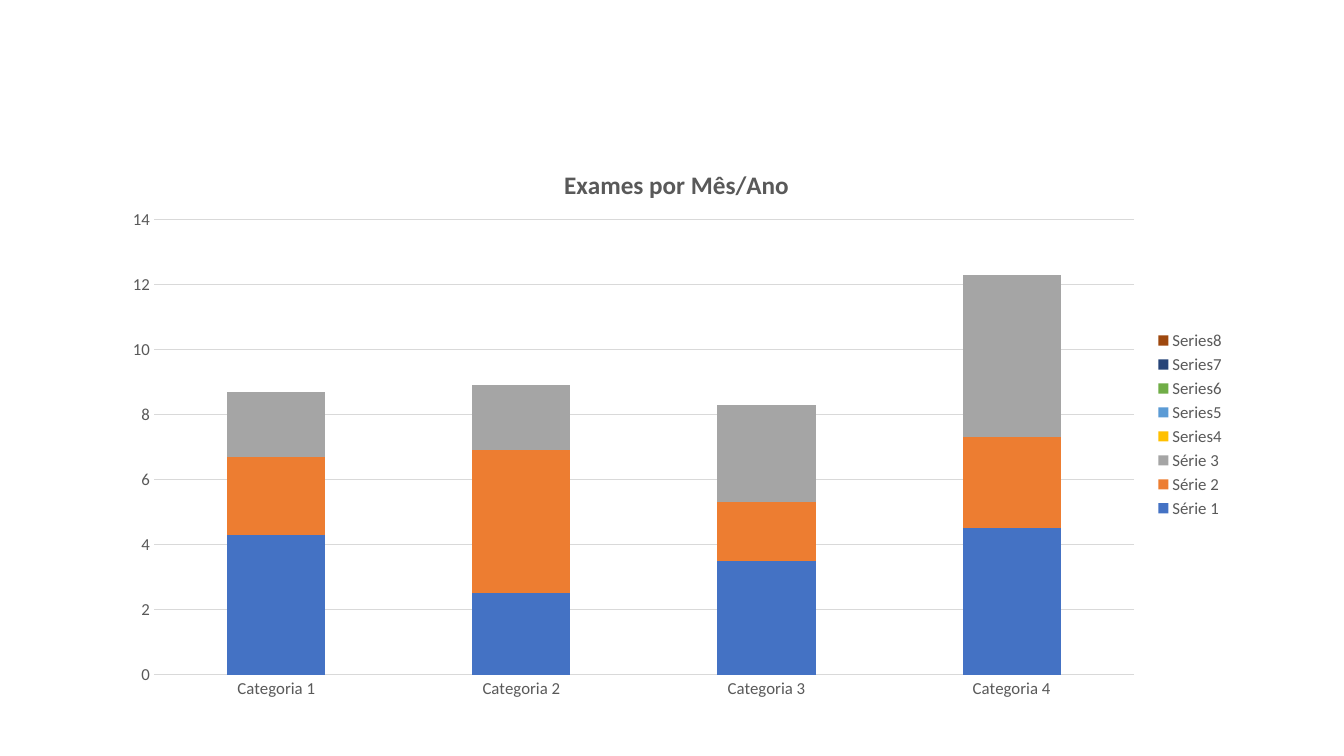
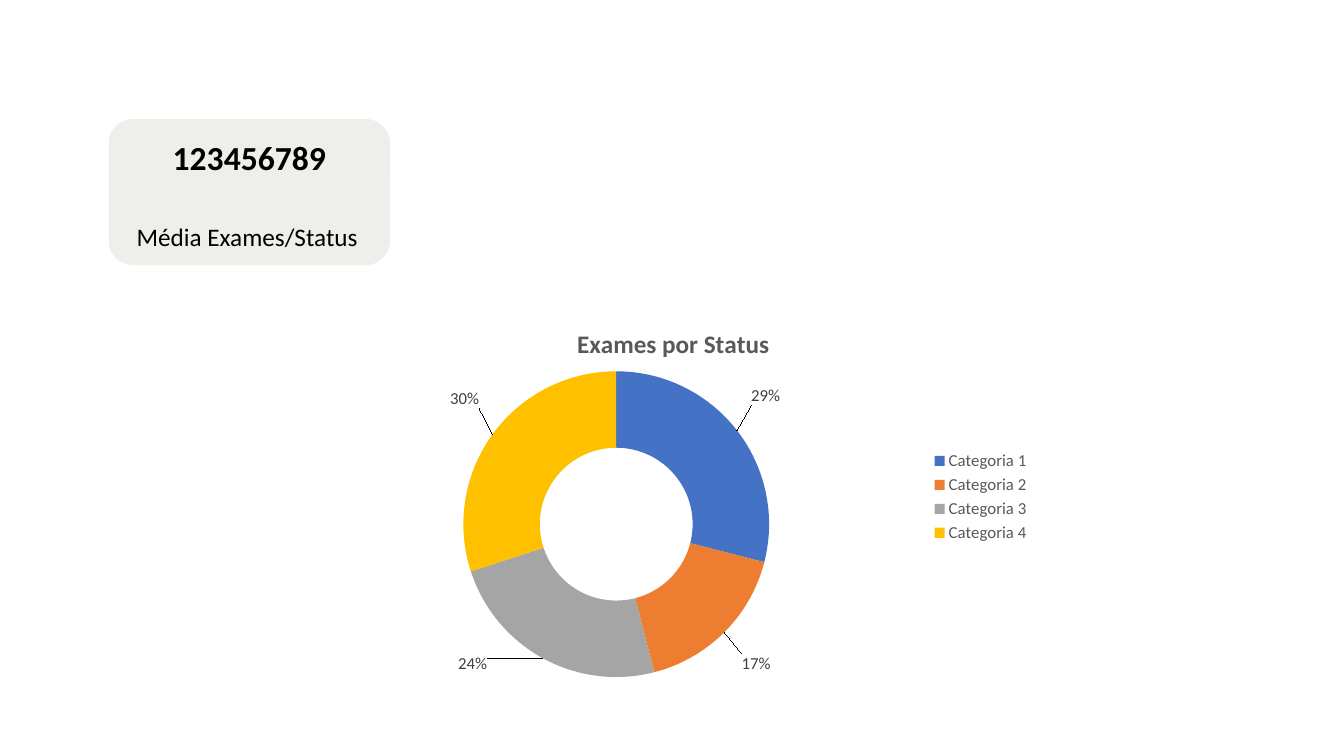
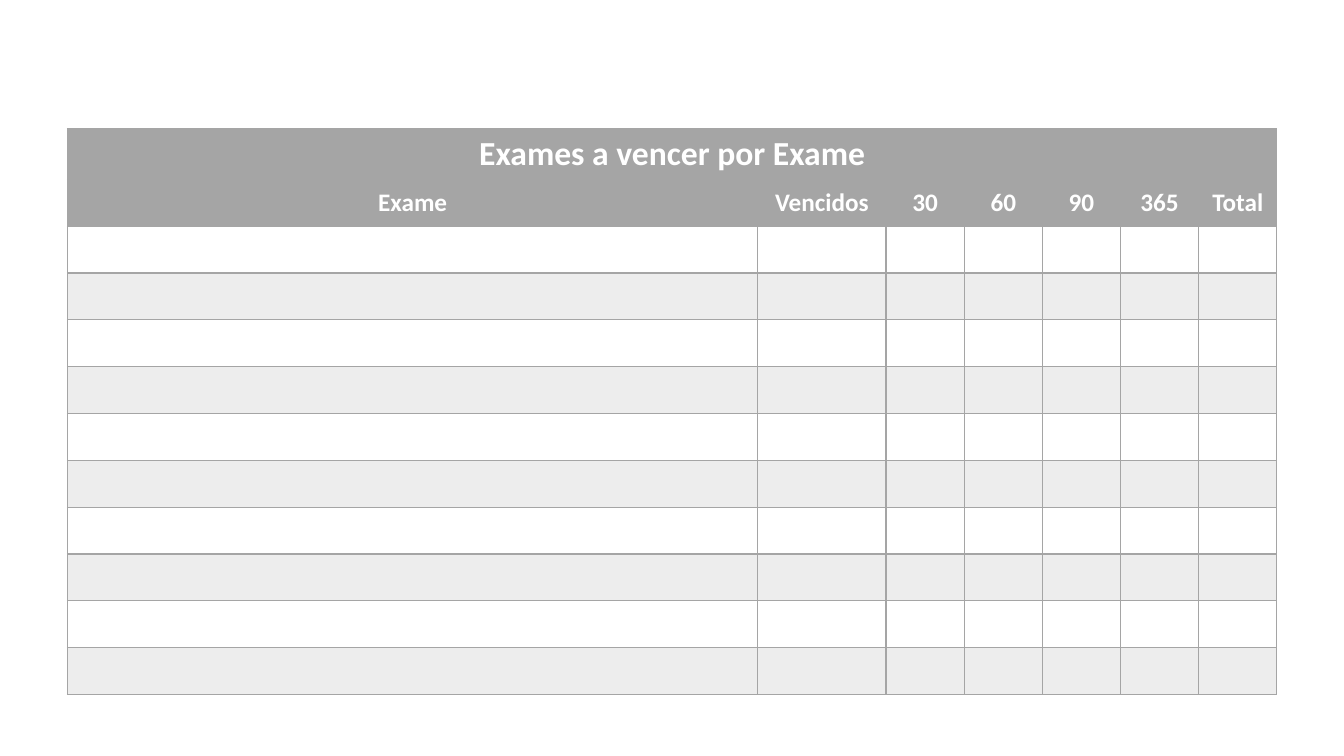
from lxml.etree import SubElement
from pptx import Presentation
from pptx.chart.data import CategoryChartData
from pptx.dml.color import RGBColor
from pptx.enum.chart import XL_CHART_TYPE, XL_LEGEND_POSITION, XL_TICK_MARK
from pptx.enum.shapes import MSO_SHAPE
from pptx.enum.text import MSO_ANCHOR, PP_ALIGN
from pptx.oxml import parse_xml
from pptx.oxml.ns import nsdecls, qn
from pptx.util import Cm, Pt

FONT = "Calibri"
WHITE, BLACK = "FFFFFF", "000000"
CARD, BAND = "EEEFEA", "EDEDED"
GRAY, GRID, CHART_TEXT, LABEL_TEXT = "A5A5A5", "D9D9D9", "595959", "404040"
PALETTE = ["4472C4", "ED7D31", GRAY, "FFC000",
           "5B9BD5", "70AD47", "264478", "9E480E"]
CATEGORIES = [f"Categoria {n}" for n in range(1, 5)]


def rgb(color):
    return RGBColor.from_string(color)


def paint(fill, color):
    fill.solid()
    fill.fore_color.rgb = rgb(color)


def style_font(font, size, color, bold=False):
    font.name = FONT
    font.size = Pt(size)
    font.bold = bold
    font.color.rgb = rgb(color)


def write(frame, text, size=18, color=BLACK, bold=False, align=PP_ALIGN.CENTER):
    paragraph = frame.paragraphs[0]
    paragraph.alignment = align
    run = paragraph.add_run()
    run.text = text
    style_font(run.font, size, color, bold)


def add_block(shapes, kind, box, color):
    block = shapes.add_shape(kind, *map(Cm, box))
    block.shadow.inherit = False
    paint(block.fill, color)
    block.line.fill.background()
    return block


def add_caption(shapes, box, text, **look):
    caption = shapes.add_textbox(*map(Cm, box))
    caption.text_frame.word_wrap = True
    write(caption.text_frame, text, **look)


def new_slide(deck):
    """Add a blank slide with the shared translucent white panel."""
    slide = deck.slides.add_slide(deck.slide_layouts[6])
    panel = add_block(slide.shapes, MSO_SHAPE.RECTANGLE,
                      (1.14, 2.39, 31.57, 15.95), WHITE)
    color = panel.fill._xPr.find(".//" + qn("a:srgbClr"))
    SubElement(color, qn("a:alpha"), val="90000")
    paint(panel.line.fill, WHITE)
    panel.line.width = Pt(1)
    return slide


def set_layout(part, index, target="", edges=False, **fractions):
    """Give a chart part a manual layout in fractions of the chart."""
    for old in part.findall(qn("c:layout")):
        part.remove(old)
    layout = parse_xml(f"<c:layout {nsdecls('c')}><c:manualLayout/></c:layout>")
    manual = layout[0]
    if target:
        SubElement(manual, qn("c:layoutTarget"), val=target)
    if edges:
        for mode in ("xMode", "yMode"):
            SubElement(manual, qn(f"c:{mode}"), val="edge")
    for name, value in fractions.items():
        SubElement(manual, qn(f"c:{name}"), val=str(value))
    part.insert(index, layout)


def add_titled_chart(slide, kind, box, series, title, title_at, plot_at):
    data = CategoryChartData()
    data.categories = CATEGORIES
    for name, values in series:
        data.add_series(name, values)
    chart = slide.shapes.add_chart(kind, *map(Cm, box), data).chart
    style_font(chart.font, 12, CHART_TEXT)
    chart.has_title = True
    write(chart.chart_title.text_frame, title, size=18, color=CHART_TEXT, bold=True)
    x, y = title_at
    set_layout(chart.chart_title._element, 1, edges=True, x=x, y=y)
    x, y, w, h = plot_at
    set_layout(chart._chartSpace.find(".//" + qn("c:plotArea")), 0,
               target="inner", edges=True, x=x, y=y, w=w, h=h)
    chart.has_legend = True
    chart.legend.position = XL_LEGEND_POSITION.RIGHT
    chart.legend.include_in_layout = False
    style_font(chart.legend.font, 12, CHART_TEXT)
    return chart


def exams_by_month(deck):
    series = [("Série 1", (4.3, 2.5, 3.5, 4.5)),
              ("Série 2", (2.4, 4.4, 1.8, 2.8)),
              ("Série 3", (2, 2, 3, 5))]
    series += [(f"Series{n}", (None,) * 4) for n in range(4, 9)]
    chart = add_titled_chart(
        new_slide(deck), XL_CHART_TYPE.COLUMN_STACKED, (2.74, 3.53, 28.4, 14.33),
        series, "Exames por Mês/Ano", (0.4, 0.04), (0.04, 0.14, 0.87, 0.8))
    plot = chart.plots[0]
    plot.gap_width, plot.overlap, plot.vary_by_categories = 150, 100, False
    for bars, color in zip(plot.series, PALETTE):
        paint(bars.format.fill, color)
    for axis in (chart.category_axis, chart.value_axis):
        axis.major_tick_mark = axis.minor_tick_mark = XL_TICK_MARK.NONE
        style_font(axis.tick_labels.font, 12, CHART_TEXT)
    values = chart.value_axis
    values.minimum_scale, values.maximum_scale, values.major_unit = 0, 14, 2
    values.format.line.fill.background()
    for line in (chart.category_axis.format.line, values.major_gridlines.format.line):
        paint(line.fill, GRID)
        line.width = Pt(0.75)


def label_slices(ring, offsets):
    """Show percentages, each moved off its slice by a fraction of the chart."""
    labels = ring.data_labels
    labels.show_percentage, labels.show_value = True, False
    style_font(labels.font, 12, LABEL_TEXT)
    for index, (dx, dy) in enumerate(offsets):
        style_font(ring.points[index].data_label.font, 12, LABEL_TEXT)
        label = labels._element.findall(qn("c:dLbl"))[index]
        label.find(qn("c:showVal")).set("val", "0")
        label.find(qn("c:showPercent")).set("val", "1")
        set_layout(label, 1, x=dx, y=dy)


def exams_by_status(deck):
    slide = new_slide(deck)
    card = slide.shapes.add_group_shape().shapes
    add_block(card, MSO_SHAPE.ROUNDED_RECTANGLE, (2.74, 3, 7.09, 3.68), CARD)
    add_caption(card, (2.74, 3.33, 7.09, 1.28), "123456789", size=24, bold=True)
    add_caption(card, (3.12, 5.44, 6.22, 1.03), "Média Exames/Status")

    chart = add_titled_chart(
        slide, XL_CHART_TYPE.DOUGHNUT, (7.65, 7.62, 18.57, 9.8),
        [("Series 1", (29, 17, 24, 30))], "Exames por Status",
        (0.365, 0.05), (0.217, 0.177, 0.415, 0.787))
    plot = chart.plots[0]
    plot.vary_by_categories = True
    ring = plot.series[0]
    for index, color in enumerate(PALETTE[:len(CATEGORIES)]):
        paint(ring.points[index].format.fill, color)
    label_slices(ring, [(0.08, -0.15), (0.08, 0.15), (-0.12, 0.1), (-0.08, -0.15)])


def border_cell(cell, color, width):
    properties = cell._tc.get_or_add_tcPr()
    for side in ("lnL", "lnR", "lnT", "lnB"):
        line = SubElement(properties, qn(f"a:{side}"), w=str(Pt(width)))
        fill = SubElement(line, qn("a:solidFill"))
        SubElement(fill, qn("a:srgbClr"), val=color)


def exams_due(deck):
    headings = ["Exame", "Vencidos", "30", "60", "90", "365", "Total"]
    widths = [17.4, 3.23] + [1.97] * 5
    heights = [1.27] + [1.18] * 11
    table = new_slide(deck).shapes.add_table(
        len(heights), len(widths), Cm(1.7), Cm(3.25),
        Cm(sum(widths)), Cm(sum(heights))).table
    table.first_row = table.horz_banding = False
    for column, width in zip(table.columns, widths):
        column.width = Cm(width)
    for number, (row, height) in enumerate(zip(table.rows, heights)):
        row.height = Cm(height)
        for cell in row.cells:
            cell.vertical_anchor = MSO_ANCHOR.MIDDLE
            border_cell(cell, GRAY, 1)
            if number < 2:
                paint(cell.fill, GRAY)
            elif number % 2:
                paint(cell.fill, BAND)
            else:
                cell.fill.background()
    heading = table.cell(0, 0)
    heading.merge(table.cell(0, len(widths) - 1))
    write(heading.text_frame, "Exames a vencer por Exame",
          size=24, color=WHITE, bold=True)
    for cell, text in zip(table.rows[1].cells, headings):
        write(cell.text_frame, text, color=WHITE, bold=True)


def main():
    deck = Presentation()
    deck.slide_width, deck.slide_height = Cm(33.87), Cm(19.05)
    exams_by_month(deck)
    exams_by_status(deck)
    exams_due(deck)
    deck.save("out.pptx")


if __name__ == "__main__":
    main()
